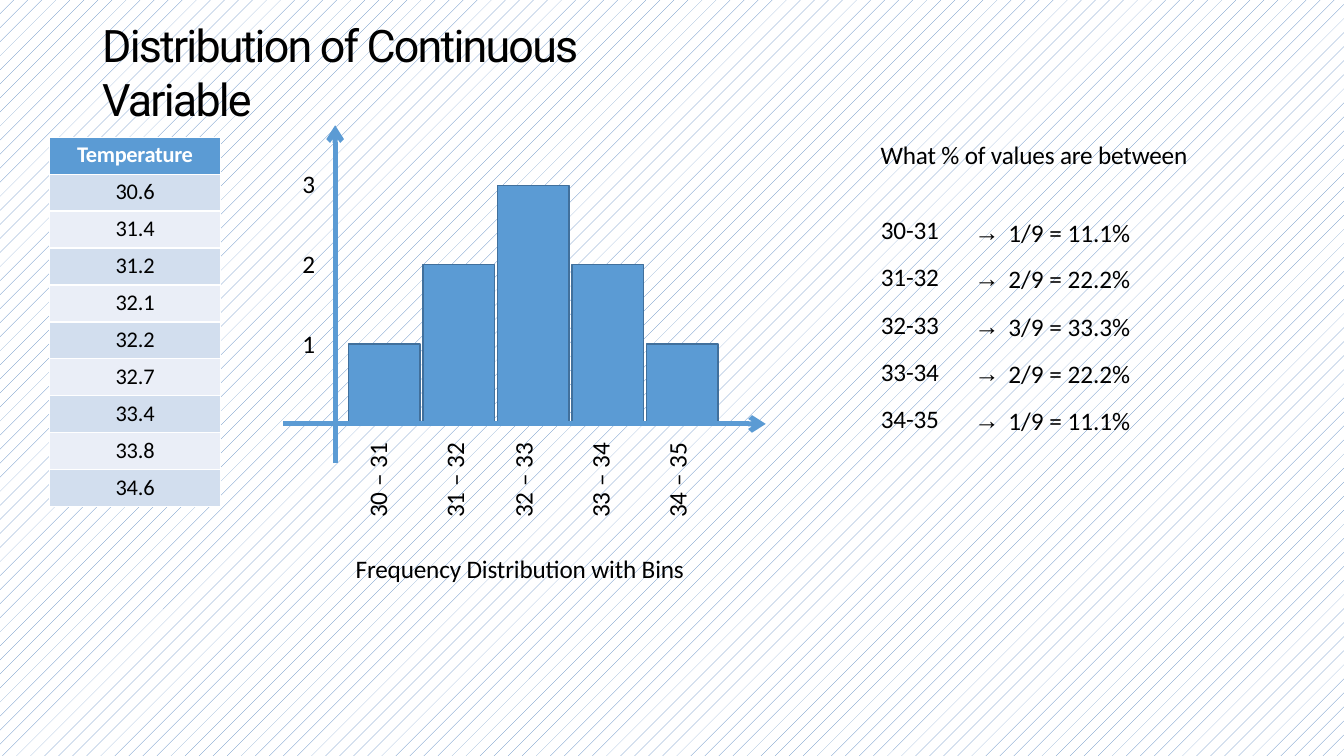
from lxml.etree import SubElement
from pptx import Presentation
from pptx.dml.color import RGBColor
from pptx.enum.dml import MSO_PATTERN
from pptx.enum.shapes import MSO_CONNECTOR, MSO_SHAPE
from pptx.enum.text import PP_ALIGN
from pptx.oxml.ns import qn
from pptx.util import Pt

BLACK = RGBColor(0x00, 0x00, 0x00)
WHITE = RGBColor(0xFF, 0xFF, 0xFF)
BLUE = RGBColor(0x5B, 0x9B, 0xD4)
EDGE = RGBColor(0x41, 0x70, 0x9C)
DOTS = RGBColor(0x4F, 0x81, 0xBD)
BANDS = (RGBColor(0xD2, 0xDE, 0xEE), RGBColor(0xEA, 0xEE, 0xF7))
PLAIN = "{2D5ABB26-0587-4C30-8999-92F81FD0307C}"  # table style without grid


class Page:
    font = "Calibri"
    size = 18

    def __init__(self, slide):
        self.slide = slide
        self.shapes = slide.shapes

    def backdrop(self):
        fill = self.slide.background.fill
        fill.patterned()
        fill.pattern = MSO_PATTERN.PERCENT_5
        fill.fore_color.rgb = DOTS
        fill.back_color.rgb = WHITE

    def style(self, par, size=None, font=None, color=BLACK, bold=False, track=-0.1):
        for run in par.runs:
            run.font.size = Pt(size or self.size)
            run.font.name = font or self.font
            run.font.color.rgb = color
            run.font.bold = bold
            run.font._element.set("spc", str(round(track * 100)))

    def text(self, words, x, y, w, h, inset=1.5, gap=0, turn=False, **look):
        frame = self.shapes.add_textbox(Pt(x), Pt(y), Pt(w), Pt(h)).text_frame
        frame.word_wrap = True
        frame.margin_left = frame.margin_right = frame.margin_bottom = 0
        frame.margin_top = Pt(inset)
        frame.text = words
        for i, par in enumerate(frame.paragraphs):
            par.space_before = Pt(gap if i else 0)
            self.style(par, **look)
        if turn:
            frame._txBody.bodyPr.set("vert", "vert270")
            frame.paragraphs[0].line_spacing = Pt(18.1)

    def bar(self, x, y, w, h):
        box = self.shapes.add_shape(MSO_SHAPE.RECTANGLE, Pt(x), Pt(y), Pt(w), Pt(h))
        box.shadow.inherit = False
        box.fill.solid()
        box.fill.fore_color.rgb = BLUE
        box.line.color.rgb = EDGE
        box.line.width = Pt(0.96)

    def arrow(self, x1, y1, x2, y2):
        line = self.shapes.add_connector(
            MSO_CONNECTOR.STRAIGHT, Pt(x1), Pt(y1), Pt(x2), Pt(y2))
        line.line.color.rgb = BLUE
        line.line.width = Pt(3.6)
        SubElement(line.line._get_or_add_ln(), qn("a:tailEnd"), type="arrow")
        SubElement(line._element.spPr, qn("a:effectLst"))

    def table(self, x, y, widths, heights):
        grid = self.shapes.add_table(
            len(heights), len(widths), Pt(x), Pt(y),
            Pt(sum(widths)), Pt(sum(heights))).table
        for col, w in zip(grid.columns, widths):
            col.width = Pt(w)
        for row, h in zip(grid.rows, heights):
            row.height = Pt(h)
        return grid

    def cell(self, cell, words, fill=None, top=2.9, left=0,
             align=PP_ALIGN.CENTER, **look):
        cell.margin_left = Pt(left)
        cell.margin_right = cell.margin_bottom = 0
        cell.margin_top = Pt(top)
        if fill is None:
            cell.fill.background()
        else:
            cell.fill.solid()
            cell.fill.fore_color.rgb = fill
        cell.text = words
        par = cell.text_frame.paragraphs[0]
        par.alignment = align
        self.style(par, **look)
        return par


deck = Presentation()
deck.slide_width, deck.slide_height = Pt(960), Pt(540)
page = Page(deck.slides.add_slide(deck.slide_layouts[6]))
page.backdrop()

# Title
page.text("Distribution of Continuous Variable", 73, 11.5, 420, 80,
          size=32, font="Roboto", track=-1.3)

# Temperature readings
temps = ["30.6", "31.4", "31.2", "32.1", "32.2", "32.7", "33.4", "33.8", "34.6"]
grid = page.table(35.5, 98, [122], [26.4] * (len(temps) + 1))
page.cell(grid.cell(0, 0), "Temperature", BLUE,
          size=16, color=WHITE, bold=True, track=-0.2)
for i, temp in enumerate(temps):
    page.cell(grid.cell(i + 1, 0), temp, BANDS[i % 2], size=16)

# Histogram bars and bin labels
counts = [1, 2, 3, 2, 1]
places = [262, 317, 366, 421, 476]
base, unit = 302.4, 56.7
for i, (count, place) in enumerate(zip(counts, places)):
    page.bar(249 + 53.2 * i, base - unit * count, 51, unit * count)
    page.text(f"{30 + i} – {31 + i}", place, 314, 20, 56,
              inset=0, turn=True, track=0)

# Axes, scale and caption
page.arrow(202.5, 302.8, 547, 302.8)
page.arrow(239.4, 331, 239.4, 89.5)
page.text("3\n2\n1", 216, 119, 12, 140, gap=35.5, track=0)
page.text("Frequency Distribution with Bins", 254, 394, 240, 24)

# Share of values in each bin
page.text("What % of values are between", 629, 98, 225, 24)
grid = page.table(627, 155.5, [54, 33, 96], [29.5, 33.8, 33.8, 33.8, 29.5])
grid.first_row = grid.horz_banding = False
grid._tbl.tblPr.find(qn("a:tableStyleId")).text = PLAIN
total = sum(counts)
for i, count in enumerate(counts):
    span, mark, share = (grid.cell(i, k) for k in range(3))
    drop = 4.3 if i else 0.7
    par = page.cell(span, f"{30 + i}-{31 + i}", top=4.4 if i else 0, left=2.2,
                    align=PP_ALIGN.LEFT)
    par.line_spacing = Pt(20.4)
    page.cell(mark, "→", top=drop, align=PP_ALIGN.RIGHT, font="Arial", track=0)
    page.cell(share, f"{count}/{total} = {count / total:.1%}", top=drop, left=3.6,
              track=0)

deck.save("out.pptx")
